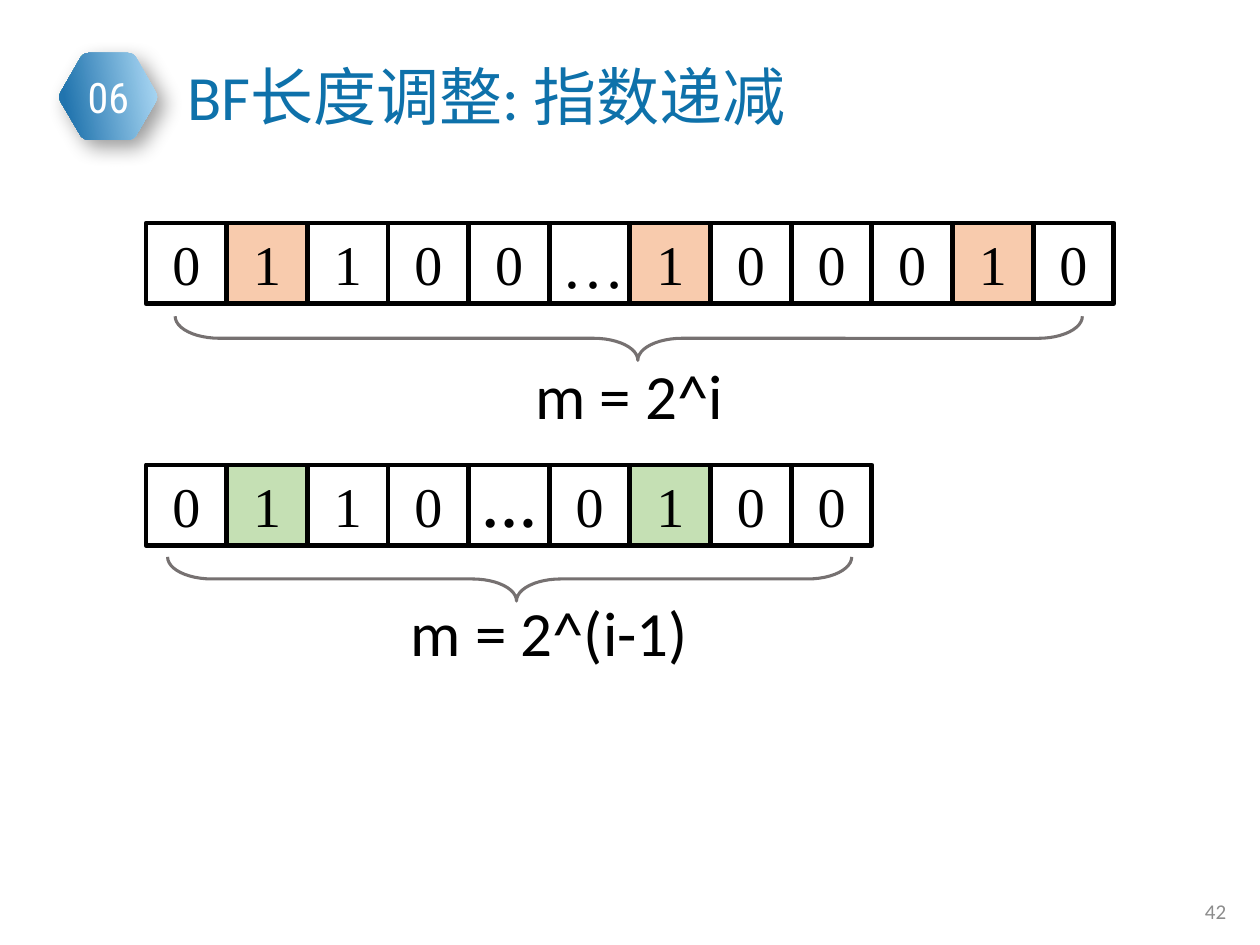
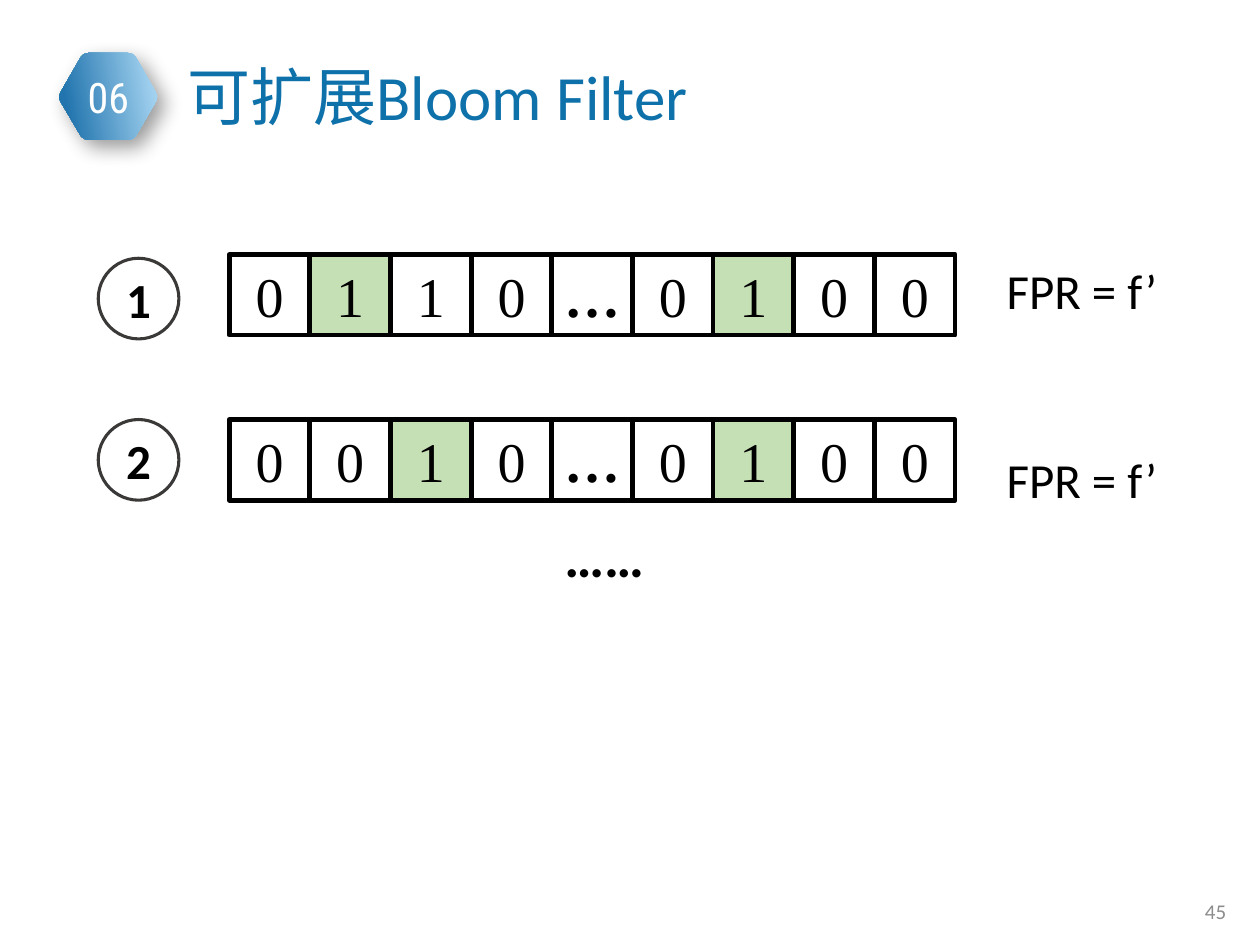
from dataclasses import dataclass
from lxml.etree import SubElement as Sub
from pptx import Presentation
from pptx.dml.color import RGBColor as RGB
from pptx.enum.shapes import MSO_SHAPE as Kind
from pptx.enum.text import MSO_ANCHOR as Anchor, PP_ALIGN as Align
from pptx.oxml.ns import qn
from pptx.util import Inches, Pt


@dataclass(frozen=True)
class Theme:
    white: str = "FFFFFF"
    black: str = "000000"
    title: str = "0E71AA"
    gray: str = "8C8C8C"
    brace: str = "767171"
    ring: str = "3B3838"
    peach: str = "F8CBAD"
    green: str = "C5E0B4"
    light: str = "AFDBF6"
    dark: str = "2174AE"
    body: str = "Calibri"
    digit: str = "Times New Roman"
    badge: str = "Roboto Condensed"
    big: int = 36
    bit: int = 32
    mid: int = 28
    tag: int = 24
    foot: int = 12
    edge: float = 2.75
    thin: float = 1.75


T = Theme()
CELL = 0.64

SLIDES = [
    dict(
        title="BF长度调整: 指数递减", wide=5, page="42",
        rows=[
            dict(at=(1.16, 1.77), bits="01100…100010", lit=(1, 6, 10),
                 hue=T.peach, dots=(T.big, False)),
            dict(at=(1.16, 3.69), bits="0110…0100", lit=(1, 6)),
        ],
        braces=[(1.39, 2.51, 7.2), (1.33, 4.42, 5.43)],
        labels=[
            ("m = 2^i", (4.15, 2.78, 1.71, 0.71), T.big, False),
            ("m = 2^(i-1)", (3.16, 4.66, 2.42, 0.71), T.big, False),
        ],
        rings=[],
    ),
    dict(
        title="可扩展Bloom Filter", wide=4.21, page="45",
        rows=[
            dict(at=(1.82, 2.02), bits="0110…0100", lit=(1, 6)),
            dict(at=(1.82, 3.33), bits="0010…0100", lit=(2, 6)),
        ],
        braces=[],
        labels=[
            ("FPR = f’", (7.89, 2.02, 1.41, 0.57), T.mid, False),
            ("FPR = f’", (7.89, 3.52, 1.41, 0.57), T.mid, False),
            ("……", (4.38, 4.09, 1.11, 0.64), T.bit, True),
        ],
        rings=[("1", 0.78, 2.05), ("2", 0.78, 3.33)],
    ),
]

HEX = [(0.46, 0.77), (0.66, 0.42), (1.06, 0.42),
       (1.26, 0.77), (1.06, 1.11), (0.66, 1.11)]
CUT = 0.05


def write(shape, text, size, hue=T.black, face=T.body, bold=False,
          align=Align.LEFT, anchor=Anchor.TOP, wrap=True):
    frame = shape.text_frame
    frame.word_wrap = wrap
    frame.vertical_anchor = anchor
    para = frame.paragraphs[0]
    para.text = text
    para.alignment = align
    font = para.font
    font.size, font.name, font.bold = Pt(size), face, bold
    font.color.rgb = RGB.from_string(hue)


def label(slide, text, box, size, **look):
    shape = slide.shapes.add_textbox(*map(Inches, box))
    write(shape, text, size, **look)


def draw(slide, kind, box, line, width, fill=None):
    shape = slide.shapes.add_shape(kind, *map(Inches, box))
    shape.shadow.inherit = False
    if fill:
        shape.fill.solid()
        shape.fill.fore_color.rgb = RGB.from_string(fill)
    else:
        shape.fill.background()
    shape.line.color.rgb = RGB.from_string(line)
    shape.line.width = Pt(width)
    return shape


def toward(a, b):
    gap = ((b[0] - a[0]) ** 2 + (b[1] - a[1]) ** 2) ** 0.5
    return [p + (q - p) * CUT / gap for p, q in zip(a, b)]


def curve():
    dots = []
    for i, tip in enumerate(HEX):
        start = toward(tip, HEX[i - 1])
        end = toward(tip, HEX[(i + 1) % len(HEX)])
        for step in range(7):
            t = step / 6
            dots.append(tuple(
                Inches((1 - t) ** 2 * a + 2 * t * (1 - t) * b + t * t * c)
                for a, b, c in zip(start, tip, end)))
    return dots


def badge(slide):
    first, *rest = curve()
    form = slide.shapes.build_freeform(*first)
    form.add_line_segments(rest, close=True)
    shape = form.convert_to_shape()
    shape.line.fill.background()
    shape.fill.gradient()
    shape.fill.gradient_angle = 190
    for stop, hue, pos in zip(shape.fill.gradient_stops,
                              (T.light, T.dark), (0, 0.9)):
        stop.color.rgb = RGB.from_string(hue)
        stop.position = pos
    shape.shadow.inherit = False
    effect = shape.element.spPr.find(qn("a:effectLst"))
    shade = Sub(effect, qn("a:outerShdw"), blurRad=str(Pt(12)),
                dist=str(Pt(6)), dir="2700000", algn="tl", rotWithShape="0")
    color = Sub(shade, qn("a:srgbClr"), val=T.black)
    Sub(color, qn("a:alpha"), val="40000")
    label(slide, "06", (0.36, 0.52, 1, 0.5), T.tag, hue=T.white,
          face=T.badge, align=Align.CENTER)


def strip(slide, at, bits, lit, hue=T.green, dots=(T.bit, True)):
    left, top = at
    for i, bit in enumerate(bits):
        size, bold = dots if bit == "…" else (T.bit, False)
        cell = draw(slide, Kind.RECTANGLE, (left + i * CELL, top, CELL, CELL),
                    T.black, T.edge, hue if i in lit else T.white)
        write(cell, bit, size, face=T.digit, bold=bold,
              align=Align.CENTER, anchor=Anchor.MIDDLE)


def brace(slide, left, top, span, deep=0.35):
    shift = (span - deep) / 2
    shape = draw(slide, Kind.RIGHT_BRACE,
                 (left + shift, top - shift, deep, span), T.brace, T.thin)
    shape.rotation = 90
    shape.adjustments[0] = 1
    shape.adjustments[1] = 0.49


def ring(slide, text, left, top):
    shape = draw(slide, Kind.FLOWCHART_CONNECTOR, (left, top, CELL, CELL),
                 T.ring, T.thin, T.white)
    write(shape, text, T.mid, bold=True, align=Align.CENTER,
          anchor=Anchor.MIDDLE)


def build(deck, data):
    slide = deck.slides.add_slide(deck.slide_layouts[6])
    badge(slide)
    label(slide, data["page"], (7.58, 7.03, 2.25, 0.4), T.foot, hue=T.gray,
          align=Align.RIGHT, anchor=Anchor.MIDDLE)
    label(slide, data["title"], (1.39, 0.41, data["wide"], 0.71), T.big,
          hue=T.title)
    for row in data["rows"]:
        strip(slide, **row)
    for spot in data["braces"]:
        brace(slide, *spot)
    for text, box, size, bold in data["labels"]:
        label(slide, text, box, size, bold=bold, wrap=False)
    for spot in data["rings"]:
        ring(slide, *spot)


def main():
    deck = Presentation()
    deck.slide_width, deck.slide_height = Inches(10), Inches(7.5)
    for data in SLIDES:
        build(deck, data)
    deck.save("out.pptx")


if __name__ == "__main__":
    main()
